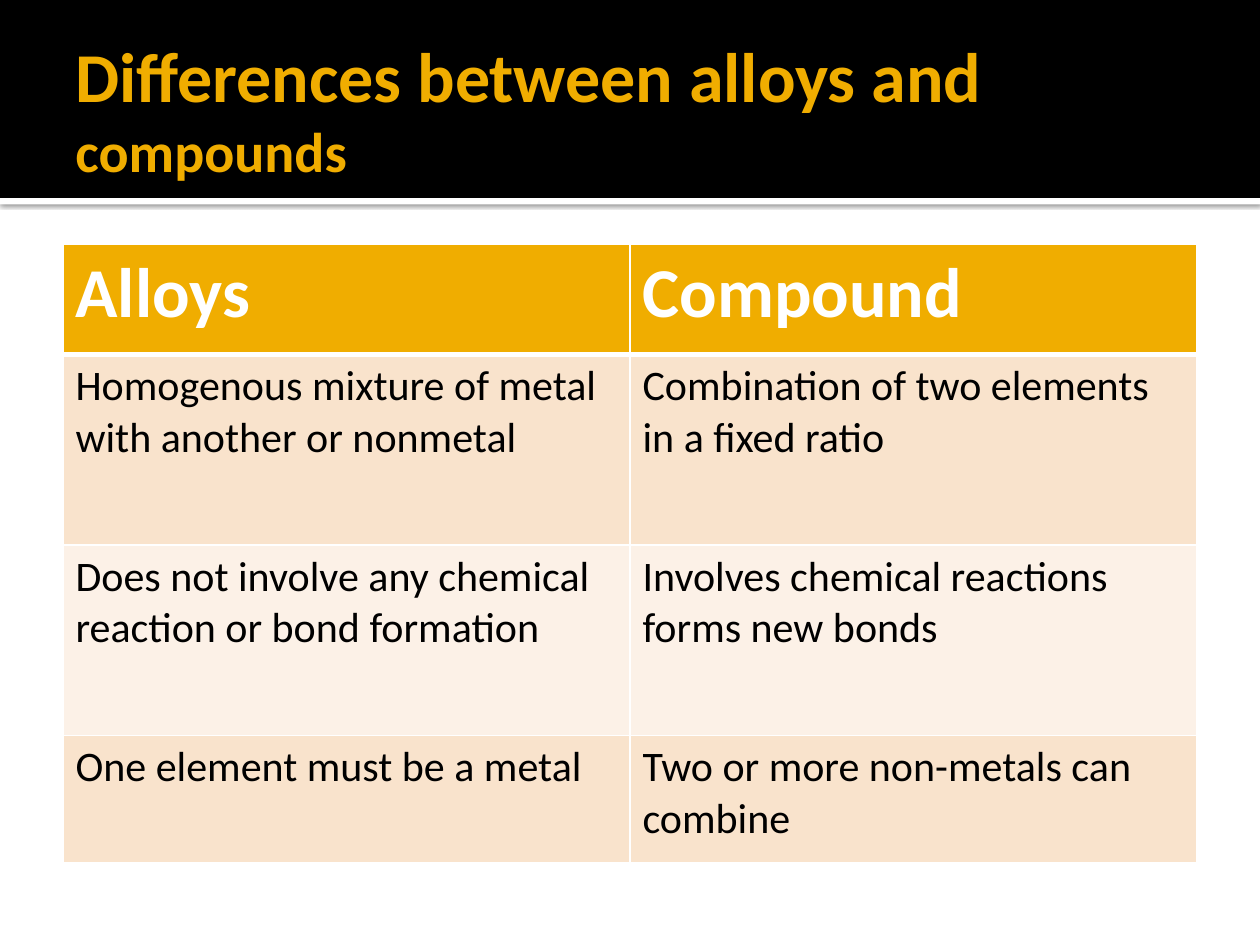
import pptx
import pptx.util
import pptx.dml.color
import pptx.enum.shapes
import pptx.enum.text
import pptx.oxml
import pptx.oxml.ns

Cm = pptx.util.Cm
Pt = pptx.util.Pt
GOLD, WHITE, BLACK = "F0AD00", "FFFFFF", "000000"


def paint(color, code):
    color.rgb = pptx.dml.color.RGBColor.from_string(code)


def write(frame, text, size=24, color=BLACK, bold=False):
    run = frame.paragraphs[0].add_run()
    run.text = text
    run.font.name = "Calibri"
    run.font.size = Pt(size)
    run.font.bold = bold
    paint(run.font.color, color)


deck = pptx.Presentation()
deck.slide_width, deck.slide_height = Cm(25.4), Cm(19.05)
slide = deck.slides.add_slide(deck.slide_layouts[5])
shapes = slide.shapes

title = shapes.title
title.left, title.top, title.width, title.height = Cm(1.27), Cm(0.43), Cm(22.86), Cm(3.48)
frame = title.text_frame
frame.word_wrap = True
frame.auto_size = pptx.enum.text.MSO_AUTO_SIZE.NONE
frame.vertical_anchor = pptx.enum.text.MSO_ANCHOR.MIDDLE
frame.margin_left = Cm(0.25)
frame.margin_right = frame.margin_top = frame.margin_bottom = Cm(0.13)
frame.paragraphs[0].alignment = pptx.enum.text.PP_ALIGN.LEFT
write(frame, "Differences between alloys and ", size=40, color=GOLD, bold=True)
write(frame, "compounds", size=32, color=GOLD, bold=True)

bands = []
for top, height, color in [(3.99, 0.13, WHITE), (0, 3.99, BLACK)]:
    band = shapes.add_shape(pptx.enum.shapes.MSO_SHAPE.RECTANGLE, 0, Cm(top), Cm(25.4), Cm(height))
    band.shadow.inherit = False
    band.fill.solid()
    paint(band.fill.fore_color, color)
    band.line.fill.background()
    title._element.addprevious(band._element)
    bands.append(band)

space = pptx.oxml.ns.nsdecls("a")
shade = pptx.oxml.parse_xml(
    f'<a:outerShdw {space} blurRad="{Pt(2.5)}" dist="{Pt(0.8)}" dir="5400000" algn="t" rotWithShape="0">'
    '<a:srgbClr val="000000"><a:alpha val="60000"/></a:srgbClr></a:outerShdw>')
bands[0]._element.spPr.find(pptx.oxml.ns.qn("a:effectLst")).append(shade)

rows = [
    ("Alloys", "Compound"),
    ("Homogenous mixture of metal with another or nonmetal",
     "Combination of two elements in a fixed ratio"),
    ("Does not involve any chemical reaction or bond formation",
     "Involves chemical reactions forms new bonds"),
    ("One element must be a metal", "Two or more non-metals can combine"),
]
heights = [2.22, 3.84, 3.84, 2.57]
fills = [GOLD, "F9E3CC", "FCF1E7", "F9E3CC"]

table = shapes.add_table(4, 2, Cm(1.27), Cm(4.93), Cm(22.86), Cm(sum(heights))).table
for r, (texts, height, fill) in enumerate(zip(rows, heights, fills)):
    table.rows[r].height = Cm(height)
    head = r == 0
    for c, text in enumerate(texts):
        cell = table.cell(r, c)
        props = cell._tc.get_or_add_tcPr()
        for side in "LRTB":
            thick = (r, side) in [(0, "B"), (1, "T")]
            props.append(pptx.oxml.parse_xml(
                f'<a:ln{side} {space} w="{Pt(3 if thick else 1)}"><a:solidFill>'
                f'<a:srgbClr val="{WHITE}"/></a:solidFill></a:ln{side}>'))
        cell.fill.solid()
        paint(cell.fill.fore_color, fill)
        write(cell.text_frame, text, size=40 if head else 24,
              color=WHITE if head else BLACK, bold=head)

deck.save("out.pptx")
